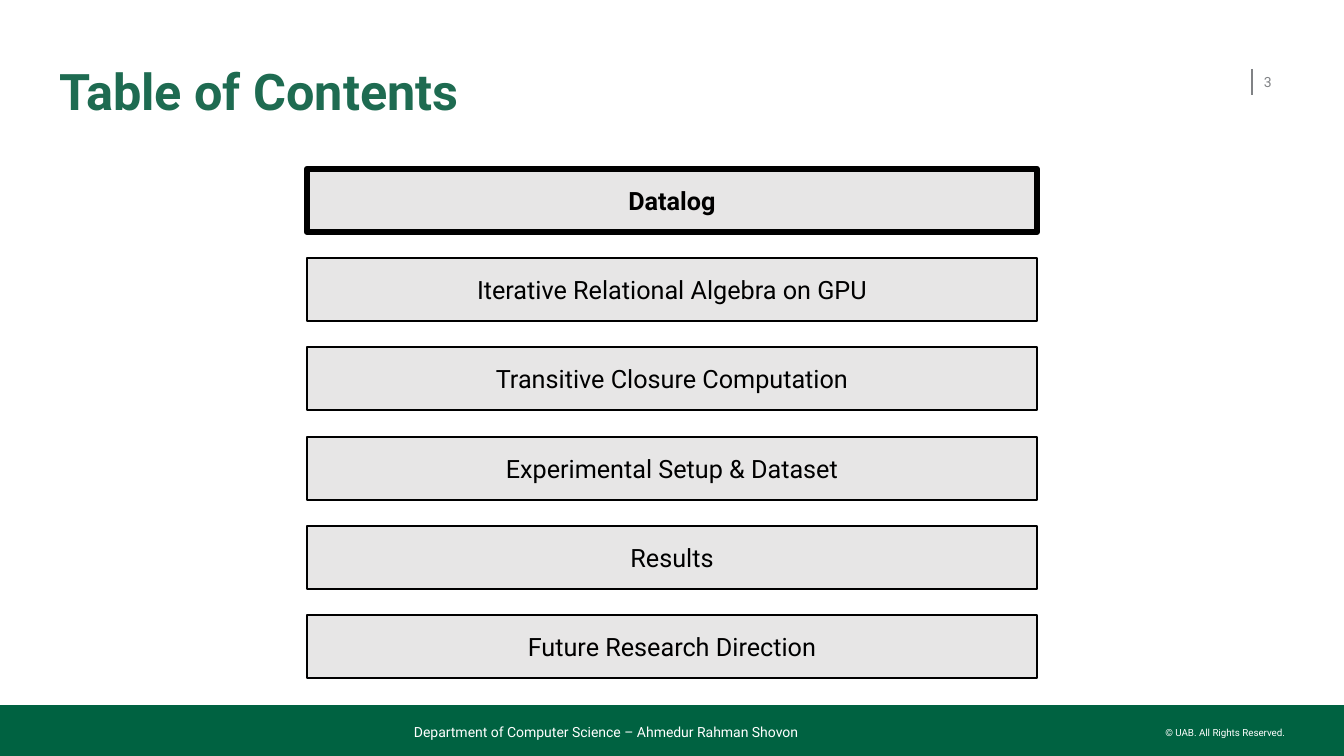
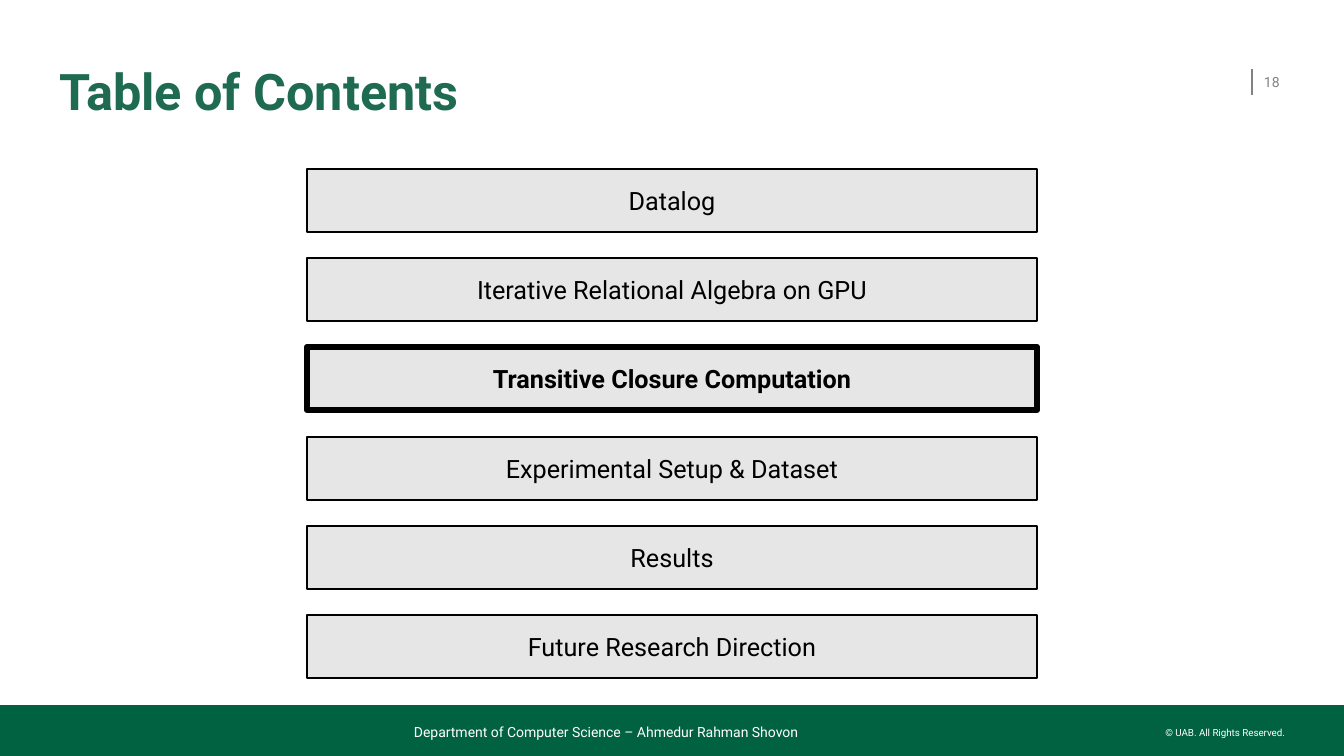
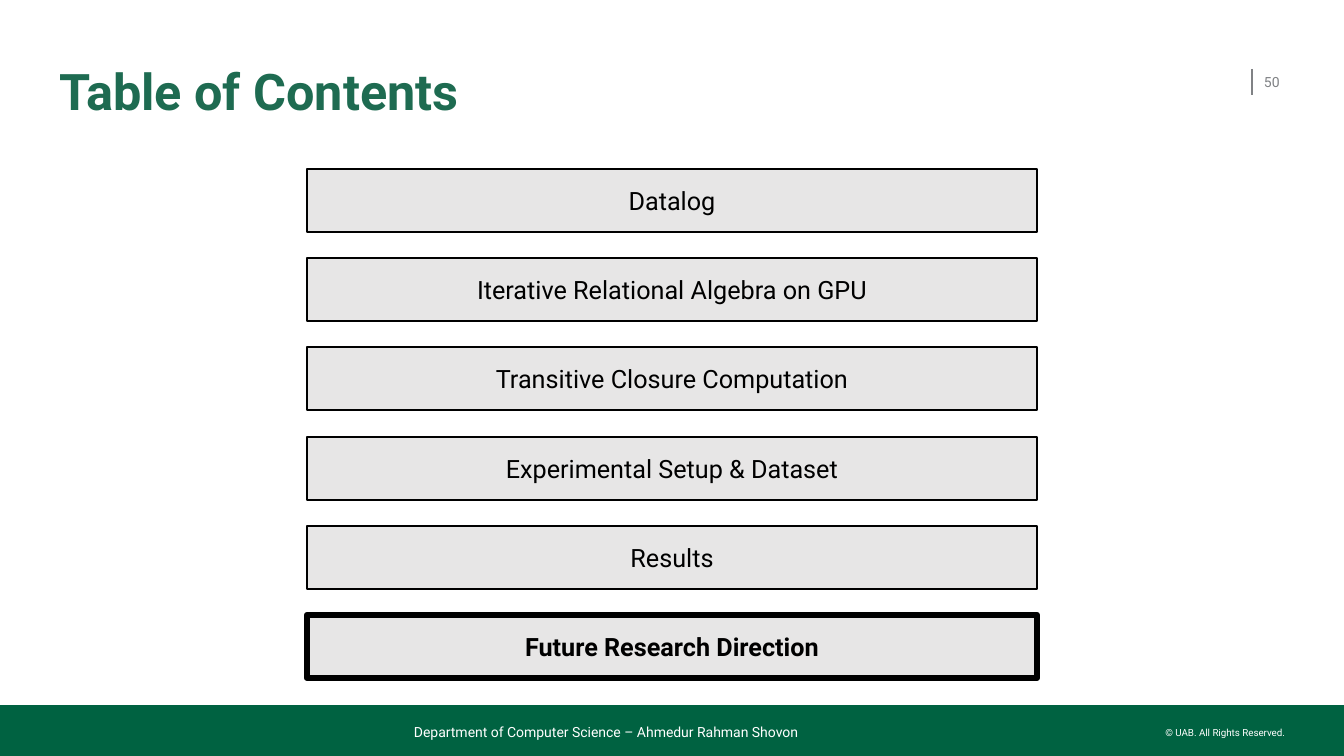
import dataclasses

import lxml.etree
import pptx
import pptx.dml.color
import pptx.enum.shapes
import pptx.enum.text
import pptx.oxml.ns
import pptx.slide
import pptx.util

ALIGN = pptx.enum.text.PP_ALIGN
ANCHOR = pptx.enum.text.MSO_ANCHOR
EMU_PER_PX = 12192000 / 1344


@dataclasses.dataclass(frozen=True)
class Theme:
    font: str = "Roboto"
    title_green: str = "1E6B51"
    band_green: str = "006241"
    grey: str = "808285"
    topic_fill: str = "E7E6E6"
    black: str = "000000"
    white: str = "FFFFFF"
    title_size: int = 36
    topic_size: int = 18
    small_size: int = 10
    copyright_size: int = 7
    thin_line: float = 1
    thick_line: float = 4.5


@dataclasses.dataclass(frozen=True)
class Box:
    left: int
    top: int
    width: int
    height: int


@dataclasses.dataclass(frozen=True)
class Agenda:
    page: int
    current: str


THEME = Theme()
SLIDE = Box(0, 0, 1344, 756)
TITLE = Box(59, 52, 1172, 85)
PAGE_NUMBER = Box(1264, 62, 33, 40)
PAGE_RULE = Box(1252, 69, 0, 26)
BAND = Box(0, 705, 1344, 51)
DEPARTMENT = Box(414, 717, 714, 23)
COPYRIGHT = Box(1164, 727, 121, 12)
FIRST_TOPIC = Box(307, 169, 730, 63)
LAST_TOPIC_TOP = 615

TOPICS = (
    "Datalog",
    "Iterative Relational Algebra on GPU",
    "Transitive Closure Computation",
    "Experimental Setup & Dataset",
    "Results",
    "Future Research Direction",
)
AGENDAS = (
    Agenda(3, "Datalog"),
    Agenda(18, "Transitive Closure Computation"),
    Agenda(50, "Future Research Direction"),
)


def px(length: float) -> pptx.util.Emu:
    return pptx.util.Emu(round(length * EMU_PER_PX))


def place(box: Box) -> tuple:
    return px(box.left), px(box.top), px(box.width), px(box.height)


def rgb(colour: str) -> pptx.dml.color.RGBColor:
    return pptx.dml.color.RGBColor.from_string(colour)


def write(shape, text: str, *, size: int, colour: str, bold: bool = False,
          align=ALIGN.LEFT, anchor=ANCHOR.MIDDLE, wrap: bool = True,
          line_spacing: float = 1.0) -> None:
    frame = shape.text_frame
    frame.auto_size = pptx.enum.text.MSO_AUTO_SIZE.NONE
    frame.word_wrap = wrap
    frame.vertical_anchor = anchor
    frame.margin_left = frame.margin_right = 0
    frame.margin_top = frame.margin_bottom = 0
    frame.text = text
    paragraph = frame.paragraphs[0]
    paragraph.alignment = align
    paragraph.line_spacing = line_spacing
    font = paragraph.runs[0].font
    font.name = THEME.font
    font.size = pptx.util.Pt(size)
    font.bold = bold
    font.color.rgb = rgb(colour)


def add_label(slide: pptx.slide.Slide, box: Box, text: str, **text_format) -> None:
    write(slide.shapes.add_textbox(*place(box)), text, **text_format)


def add_rectangle(slide: pptx.slide.Slide, box: Box, fill: str,
                  line_width: float = 0):
    rectangle = slide.shapes.add_shape(
        pptx.enum.shapes.MSO_SHAPE.RECTANGLE, *place(box))
    rectangle.shadow.inherit = False
    rectangle.fill.solid()
    rectangle.fill.fore_color.rgb = rgb(fill)
    if line_width:
        rectangle.line.color.rgb = rgb(THEME.black)
        rectangle.line.width = pptx.util.Pt(line_width)
    else:
        rectangle.line.fill.background()
    return rectangle


def add_page_rule(slide: pptx.slide.Slide) -> None:
    left, top, width, height = place(PAGE_RULE)
    rule = slide.shapes.add_connector(
        pptx.enum.shapes.MSO_CONNECTOR.STRAIGHT, left, top, left + width, top + height)
    rule.line.color.rgb = rgb(THEME.grey)
    rule.line.width = pptx.util.Pt(THEME.thin_line)
    properties = rule._element.find(pptx.oxml.ns.qn("p:spPr"))
    lxml.etree.SubElement(properties, pptx.oxml.ns.qn("a:effectLst"))


def add_frame(slide: pptx.slide.Slide, title: str, page: int) -> None:
    add_page_rule(slide)
    add_rectangle(slide, BAND, THEME.band_green)
    add_label(slide, COPYRIGHT, "© UAB. All Rights Reserved.",
              size=THEME.copyright_size, colour=THEME.white,
              align=ALIGN.RIGHT, anchor=ANCHOR.TOP, wrap=False)
    heading = slide.shapes.title
    heading.left, heading.top, heading.width, heading.height = place(TITLE)
    write(heading, title, size=THEME.title_size, colour=THEME.title_green,
          bold=True, line_spacing=0.9)
    add_label(slide, PAGE_NUMBER, str(page), size=THEME.small_size, colour=THEME.grey)
    add_label(slide, DEPARTMENT, "Department of Computer Science – Ahmedur Rahman Shovon",
              size=THEME.small_size, colour=THEME.white, anchor=ANCHOR.BOTTOM)


def add_topics(slide: pptx.slide.Slide, current: str) -> None:
    pitch = (LAST_TOPIC_TOP - FIRST_TOPIC.top) / (len(TOPICS) - 1)
    for index, topic in enumerate(TOPICS):
        is_current = topic == current
        box = dataclasses.replace(
            FIRST_TOPIC, top=round(FIRST_TOPIC.top + index * pitch))
        line_width = THEME.thick_line if is_current else THEME.thin_line
        write(add_rectangle(slide, box, THEME.topic_fill, line_width), topic,
              size=THEME.topic_size, colour=THEME.black, bold=is_current,
              align=ALIGN.CENTER)


def main() -> None:
    deck = pptx.Presentation()
    deck.slide_width, deck.slide_height = px(SLIDE.width), px(SLIDE.height)
    title_only = deck.slide_layouts.get_by_name("Title Only")
    for agenda in AGENDAS:
        slide = deck.slides.add_slide(title_only)
        add_frame(slide, "Table of Contents", agenda.page)
        add_topics(slide, agenda.current)
    deck.save("out.pptx")


if __name__ == "__main__":
    main()
